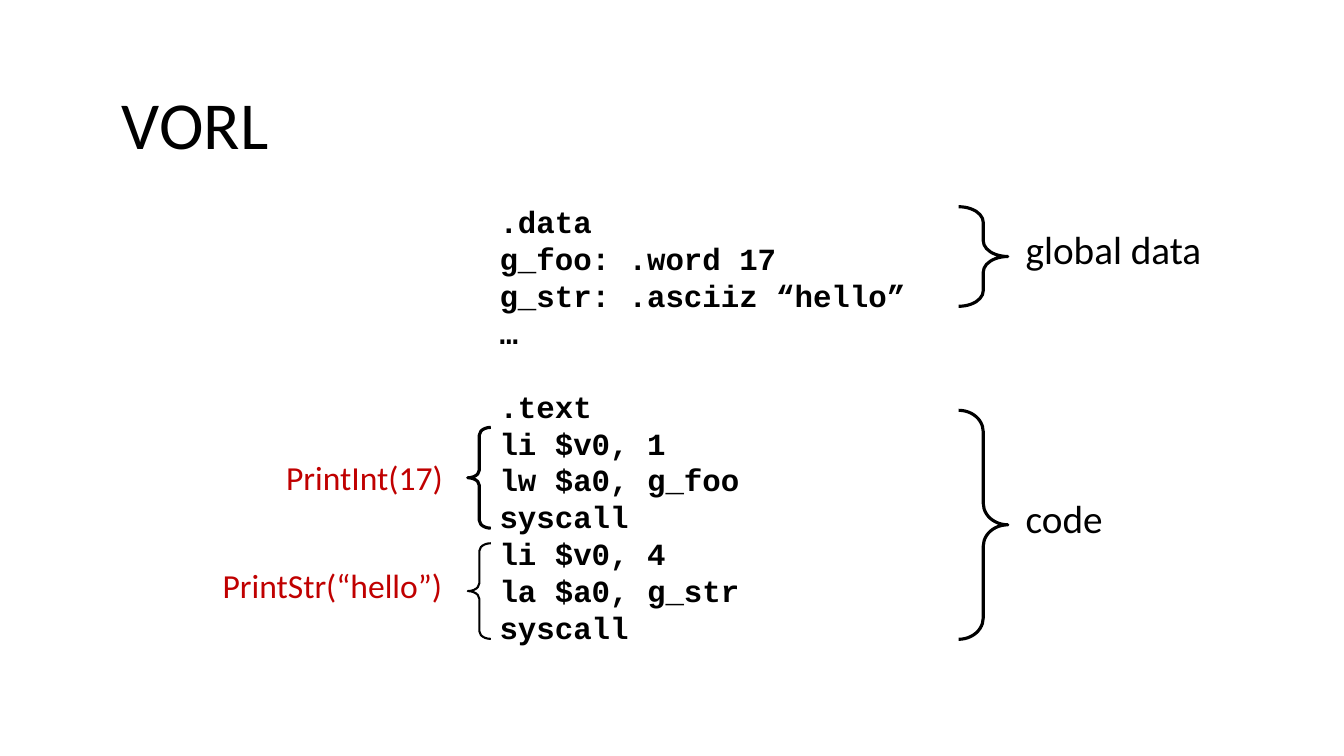
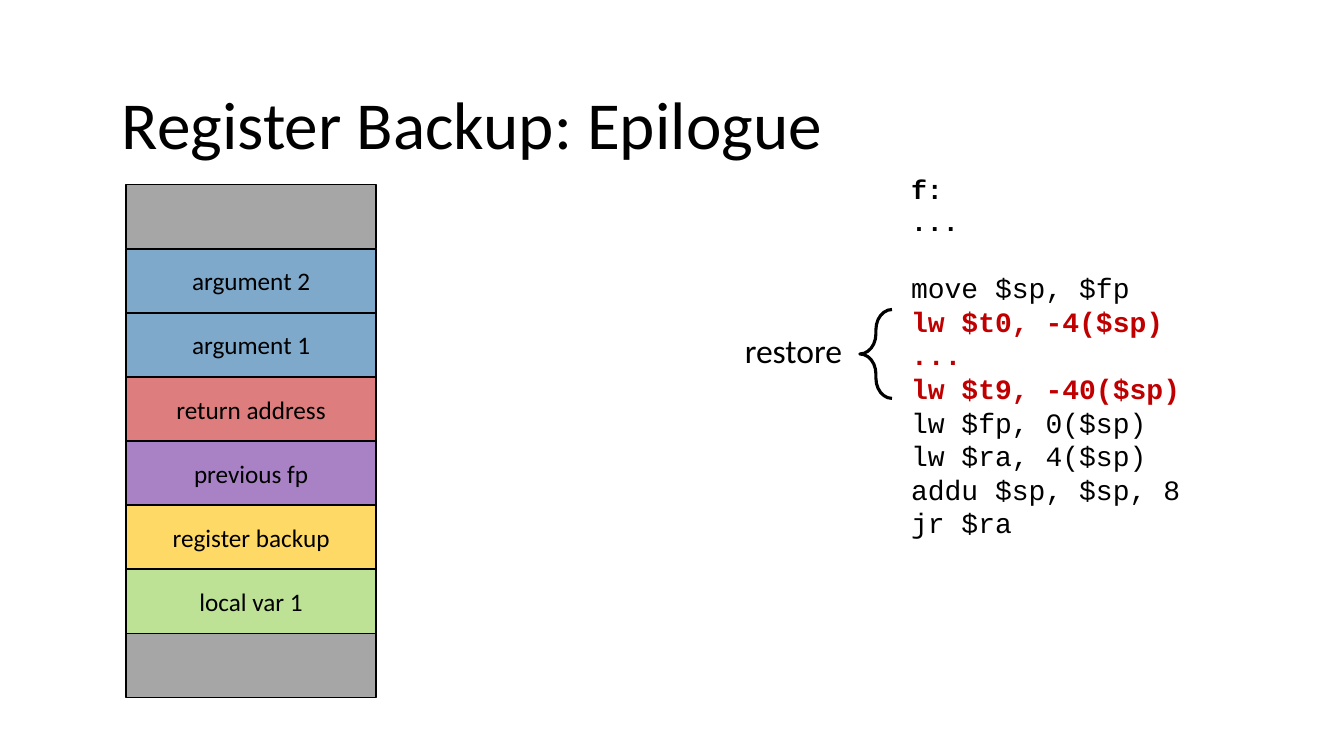
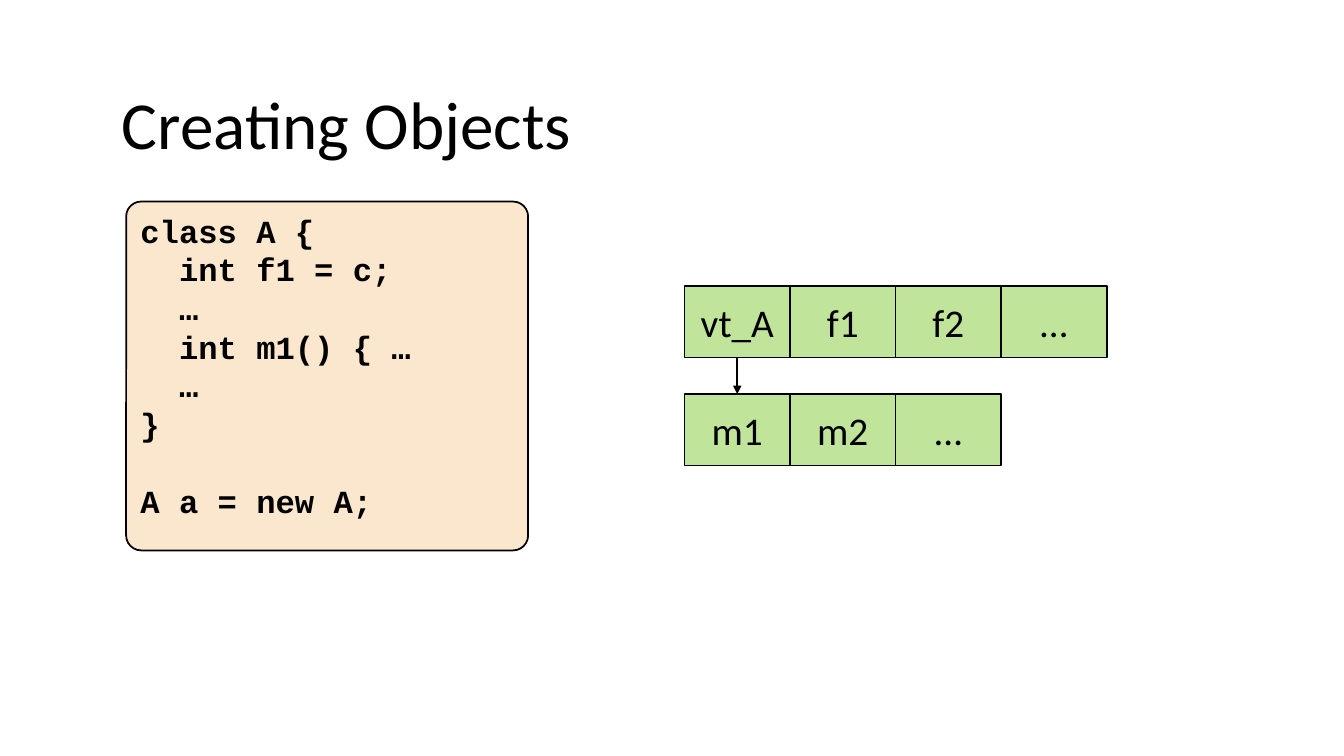
from lxml.etree import SubElement
from pptx import Presentation
from pptx.dml.color import RGBColor
from pptx.enum.shapes import MSO_CONNECTOR as Connector, MSO_SHAPE as Preset
from pptx.enum.text import MSO_ANCHOR as Anchor, MSO_AUTO_SIZE as AutoSize, PP_ALIGN as Align
from pptx.oxml.ns import qn
from pptx.util import Cm, Pt

BLACK, RED, GREY, BLUE, GREEN = "000000", "C00000", "A6A6A6", "7EA9CA", "92D050"
PURPLE, GOLD, CREAM = "7030A0", "FFC000", "FBE6CE"
BODY, MONO = "Calibri", "Courier New"
TITLE_BOX = (2.82, 1.95, 28.17, 2.31)
CODE_PITCH = 1.2
MONO_WIDTH = 0.6

PROGRAM = {
    "title": "VORL",
    "code_box": (12.34, 4.98, 11.07, 11.53),
    "code": [".data", "g_foo: .word 17", "g_str: .asciiz “hello”", "…",
             (".text", {"gap": True}),
             "li $v0, 1", "lw $a0, g_foo", "syscall",
             "li $v0, 4", "la $a0, g_str", "syscall"],
    "code_format": {"size": 22, "bold": True},
    "braces": [
        (Preset.LEFT_BRACE, (11.79, 13.69, 0.58, 2.41), 0.335, 1.5),
        (Preset.RIGHT_BRACE, (24.16, 5.21, 1.24, 2.51), 0.318, 2.25),
        (Preset.RIGHT_BRACE, (24.16, 10.34, 1.24, 5.77), 0.436, 2.25),
        (Preset.LEFT_BRACE, (11.79, 10.77, 0.58, 2.54), 0.335, 2.25),
    ],
    "labels": [
        ("PrintInt(17)", (6.96, 11.4, 4.9, 1.27), {"size": 24, "color": RED}),
        ("PrintStr(“hello”)", (5.36, 14.12, 6.15, 1.27), {"size": 24, "color": RED}),
        ("global data", (25.6, 5.56, 6.22, 1.45), {"size": 28}),
        ("code", (25.6, 12.32, 6.22, 1.45), {"size": 28}),
    ],
}

HEADING = {"size": 19, "bold": True}
RESTORED = {"color": RED, "bold": True}
EPILOGUE = {
    "title": "Register Backup: Epilogue",
    "code_box": (22.71, 4.24, 8.26, 10.34),
    "code": [("f:", HEADING), ("...", HEADING),
             ("move $sp, $fp", {"gap": True}),
             ("lw $t0, -4($sp)", RESTORED), ("...", RESTORED),
             ("lw $t9, -40($sp)", RESTORED),
             "lw $fp, 0($sp)", "lw $ra, 4($sp)", "addu $sp, $sp, 8", "jr $ra"],
    "code_format": {"size": 20},
    "braces": [(Preset.LEFT_BRACE, (21.67, 7.8, 0.81, 2.24), 0.626, 2.25)],
    "labels": [("restore", (18.52, 8.2, 4.22, 1.27), {"size": 24})],
}
STACK_BOX = (3.18, 4.65, 6.3, 12.93)
STACK = [
    ("", GREY, 100),
    ("argument 2", BLUE, 100),
    ("argument 1", BLUE, 100),
    ("return address", RED, 51),
    ("previous fp", PURPLE, 60),
    ("register backup", GOLD, 60),
    ("local var 1", GREEN, 60),
    ("", GREY, 100),
]

OBJECTS_TITLE = "Creating Objects"
CLASS_BOX = (3.18, 5.08, 10.13, 8.79)
CLASS_CODE = ["class A {", ("int f1 = c;", {"indent": 2}), ("…", {"indent": 2}),
              ("int m1() { …", {"indent": 2}), ("…", {"indent": 2}), "}",
              ("A a = new A;", {"gap": True})]
OBJECT_ROWS = [["vt_A", "f1", "f2", "…"], ["m1", "m2", "…"]]
ROWS_LEFT, ROWS_TOP, ROW_PITCH = 17.25, 7.21, 2.72
CELL_WIDTH, CELL_HEIGHT = 2.66, 1.8


def rgb(color):
    return RGBColor.from_string(color)


def cm(box):
    return [Cm(length) for length in box]


def add_line(paragraph, text, size=18, font=BODY, color=BLACK, bold=False,
             align=Align.LEFT, pitch=None, gap=False, indent=0):
    run = paragraph.add_run()
    run.text = text
    run.font.size = Pt(size)
    run.font.name = font
    run.font.bold = bold
    run.font.color.rgb = rgb(color)
    paragraph.alignment = align
    if pitch:
        paragraph.line_spacing = Pt(size * pitch)
    if gap:
        paragraph.space_before = Pt(size * CODE_PITCH)
    if indent:
        margin = Pt(indent * size * MONO_WIDTH)
        paragraph._p.get_or_add_pPr().set("marL", str(int(margin)))


def write(frame, lines, anchor=Anchor.TOP, **style):
    frame.word_wrap = True
    frame.auto_size = AutoSize.NONE
    frame.vertical_anchor = anchor
    for index, line in enumerate(lines):
        text, changes = (line, {}) if isinstance(line, str) else line
        paragraph = frame.add_paragraph() if index else frame.paragraphs[0]
        add_line(paragraph, text, **{**style, **changes})


def write_code(frame, lines, **style):
    write(frame, lines, font=MONO, pitch=CODE_PITCH, **style)


def add_block(slide, preset, box, fill=None, opacity=100, weight=1.25, adjust=None):
    block = slide.shapes.add_shape(preset, *cm(box))
    block.shadow.inherit = False
    block.line.color.rgb = rgb(BLACK)
    block.line.width = Pt(weight)
    if adjust is not None:
        block.adjustments[0] = adjust
    if fill is None:
        block.fill.background()
        return block
    block.fill.solid()
    block.fill.fore_color.rgb = rgb(fill)
    if opacity < 100:
        tint = block._element.spPr.find(qn("a:solidFill"))[0]
        SubElement(tint, qn("a:alpha")).set("val", str(opacity * 1000))
    return block


def add_cell(slide, box, text, fill, opacity, size):
    cell = add_block(slide, Preset.RECTANGLE, box, fill, opacity)
    if text:
        write(cell.text_frame, [text], Anchor.MIDDLE, size=size, align=Align.CENTER)
    return cell


def add_arrow(slide, source, target):
    arrow = slide.shapes.add_connector(Connector.STRAIGHT, 0, 0, 0, 0)
    arrow.begin_connect(source, 2)
    arrow.end_connect(target, 0)
    arrow.line.color.rgb = rgb(BLACK)
    arrow.line.width = Pt(1.5)
    SubElement(arrow.line._get_or_add_ln(), qn("a:tailEnd")).set("type", "triangle")
    SubElement(arrow._element.spPr, qn("a:effectLst"))


def add_slide(deck, title):
    slide = deck.slides.add_slide(deck.slide_layouts[5])
    heading = slide.shapes.title
    heading.left, heading.top, heading.width, heading.height = cm(TITLE_BOX)
    write(heading.text_frame, [title], size=48)
    return slide


def add_listing_slide(deck, content):
    slide = add_slide(deck, content["title"])
    listing = slide.shapes.add_textbox(*cm(content["code_box"]))
    write_code(listing.text_frame, content["code"], **content["code_format"])
    for preset, box, curve, weight in content["braces"]:
        add_block(slide, preset, box, weight=weight, adjust=curve)
    for text, box, style in content["labels"]:
        label = slide.shapes.add_textbox(*cm(box))
        write(label.text_frame, [text], **style)
    return slide


def add_stack(slide):
    left, top, width, total = STACK_BOX
    height = total / len(STACK)
    for index, (text, fill, opacity) in enumerate(STACK):
        add_cell(slide, (left, top + index * height, width, height),
                 text, fill, opacity, 18)


def add_objects_slide(deck):
    slide = add_slide(deck, OBJECTS_TITLE)
    rows = [
        [add_cell(slide, (ROWS_LEFT + column * CELL_WIDTH, ROWS_TOP + row * ROW_PITCH,
                          CELL_WIDTH, CELL_HEIGHT), text, GREEN, 57, 28)
         for column, text in enumerate(texts)]
        for row, texts in enumerate(OBJECT_ROWS)
    ]
    add_arrow(slide, rows[0][0], rows[1][0])
    class_card = add_block(slide, Preset.ROUNDED_RECTANGLE, CLASS_BOX, CREAM, adjust=0.043)
    write_code(class_card.text_frame, CLASS_CODE, size=23, bold=True)


def main():
    deck = Presentation()
    deck.slide_width, deck.slide_height = Cm(33.87), Cm(19.05)
    add_listing_slide(deck, PROGRAM)
    add_stack(add_listing_slide(deck, EPILOGUE))
    add_objects_slide(deck)
    deck.save("out.pptx")


if __name__ == "__main__":
    main()
